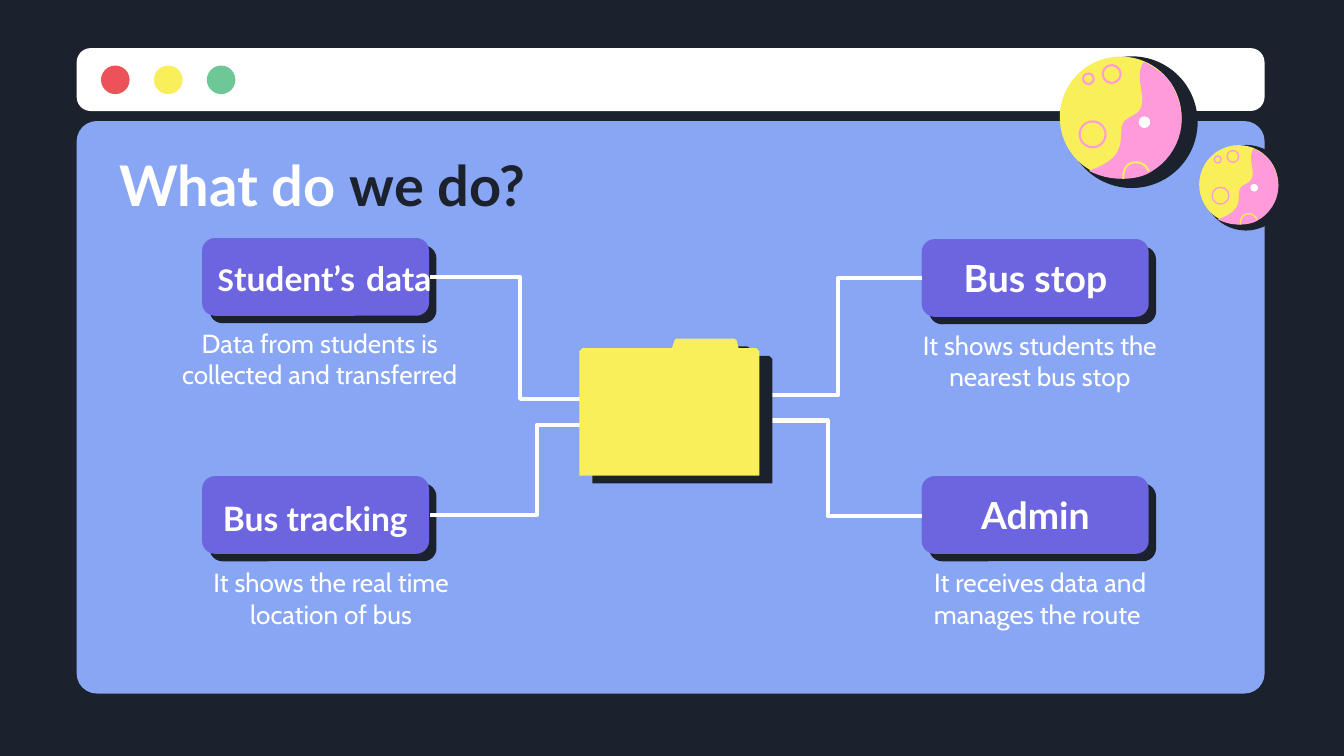
"""Build the "What do we do?" slide: four service cards linked to a central folder."""
from lxml import etree
from pptx import Presentation
from pptx.dml.color import RGBColor
from pptx.enum.shapes import MSO_CONNECTOR, MSO_SHAPE
from pptx.enum.text import MSO_ANCHOR, MSO_AUTO_SIZE, PP_ALIGN
from pptx.oxml.ns import qn
from pptx.util import Cm, Pt

ROUNDED, OVAL = MSO_SHAPE.ROUNDED_RECTANGLE, MSO_SHAPE.OVAL
ELBOW = MSO_CONNECTOR.ELBOW
MIDDLE, TOP = MSO_ANCHOR.MIDDLE, MSO_ANCHOR.TOP
LEFT, CENTER = PP_ALIGN.LEFT, PP_ALIGN.CENTER
NO_AUTOFIT = MSO_AUTO_SIZE.NONE

NAVY = RGBColor(0x1B, 0x22, 0x2D)
BLUE = RGBColor(0x88, 0xA6, 0xF3)
PURPLE = RGBColor(0x6D, 0x65, 0xE0)
WHITE = RGBColor(0xFF, 0xFF, 0xFF)
RED = RGBColor(0xEB, 0x53, 0x58)
YELLOW = RGBColor(0xF8, 0xEF, 0x5B)
GREEN = RGBColor(0x6D, 0xC7, 0x97)
PINK = RGBColor(0xFF, 0x9B, 0xDA)

prs = Presentation()
prs.slide_width, prs.slide_height = Cm(25.4), Cm(14.29)
slide = prs.slides.add_slide(prs.slide_layouts[5])
slide.background.fill.solid()
slide.background.fill.fore_color.rgb = NAVY


def paint(shape, fill=None, line=None, weight=1):
    shape.shadow.inherit = False
    if fill is None:
        shape.fill.background()
    else:
        shape.fill.solid()
        shape.fill.fore_color.rgb = fill
    if line is None:
        shape.line.fill.background()
    else:
        shape.line.color.rgb = line
        shape.line.width = Pt(weight)
    return shape


def add_outline(start, curves, left=0, top=0, scale=1, close=True):
    points = [start]
    for x1, y1, x2, y2, x3, y3 in curves:
        x0, y0 = points[-1]
        for step in range(1, 13):
            t = step / 12
            weights = (1 - t) ** 3, 3 * t * (1 - t) ** 2, 3 * t * t * (1 - t), t ** 3
            points.append((sum(w * x for w, x in zip(weights, (x0, x1, x2, x3))),
                           sum(w * y for w, y in zip(weights, (y0, y1, y2, y3)))))
    placed = [(Cm(left + scale * x), Cm(top + scale * y)) for x, y in points]
    builder = slide.shapes.build_freeform(*placed[0], scale=1.0)
    builder.add_line_segments(placed[1:], close=close)
    return builder.convert_to_shape()


for top, height, radius, color in [(2.29, 10.82, 0.035, BLUE), (0.91, 1.19, 0.223, WHITE)]:
    window_part = slide.shapes.add_shape(ROUNDED, Cm(1.45), Cm(top), Cm(22.45), Cm(height))
    window_part.adjustments[0] = radius
    paint(window_part, color)

for index, color in enumerate([RED, YELLOW, GREEN]):
    paint(slide.shapes.add_shape(OVAL, Cm(1.91 + index), Cm(1.24), Cm(0.54), Cm(0.54)), color)

MOON_DISCS = [
    (0.21, 0.09, 2.49, NAVY, None),
    (0, 0, 2.3, YELLOW, None),
    (-0.53, 0.32, 0.49, None, PINK),
    (-0.17, -0.82, 0.34, None, PINK),
    (-0.61, -0.73, 0.2, None, PINK),
    (0.45, 0.09, 0.22, WHITE, None),
]
PINK_SIDE = [
    (0.64, -0.95, 0.82, -0.82, 0.95, -0.65),
    (1.02, -0.52, 1.1, -0.34, 1.13, -0.19),
    (1.23, 0.29, 1, 0.78, 0.57, 1.03),
    (0.41, 1.13, 0.21, 1.16, 0.03, 1.16),
    (-0.2, 1.16, -0.4, 1.11, -0.6, 1.01),
    (-0.12, 0.83, 0.01, 0.68, 0.01, 0.27),
    (0.01, -0.16, 0.52, 0.12, 0.39, -0.52),
    (0.34, -0.8, 0.36, -0.95, 0.44, -1.05),
]
CRATER_RIM = [(0.02, 0.77, 0.45, 0.77, 0.53, 1.02)]

for center_x, center_y, scale in [(21.18, 2.22, 1), (23.41, 3.49, 0.65)]:
    for dx, dy, diameter, fill, line in MOON_DISCS:
        if fill == WHITE:
            paint(add_outline((0.44, -1.05), PINK_SIDE, center_x, center_y, scale), PINK)
            rim = add_outline((0.05, 1.16), CRATER_RIM, center_x, center_y, scale, close=False)
            paint(rim, None, YELLOW, 1.1 * scale)
        size = Cm(diameter * scale)
        disc = slide.shapes.add_shape(OVAL, Cm(center_x + scale * (dx - diameter / 2)),
                                      Cm(center_y + scale * (dy - diameter / 2)), size, size)
        paint(disc, fill, line, 1.1 * scale)

title = slide.shapes.title
slide.shapes.element.append(title.element)
title.left, title.top, title.width, title.height = Cm(2.01), Cm(2.69), Cm(21.41), Cm(1.57)
texts = [(title, [("What do ", 30, WHITE), ("we do?", 30, NAVY)], "Lato", LEFT, MIDDLE)]

CARDS = [
    (17.42, 9, [("Admin", 20, WHITE)], (17.68, 9, 3.78, 1.47),
     "It receives data and manages the route ", (17.22, 10.46, 4.88, 1.96)),
    (3.82, 9, [("Bus tracking", 18, WHITE)], (3.57, 9.06, 4.78, 1.47),
     "It shows the real time location of bus", (3.48, 10.46, 5.56, 2.11)),
    (3.82, 4.5, [("S", 16, WHITE), ("tudent’s", 18, WHITE), (" ", 24, WHITE), ("data", 18, WHITE)],
     (3.48, 4.8, 5.31, 0.76),
     "Data from students is collected and transferred", (3.02, 5.94, 6.05, 1.88)),
    (17.42, 4.52, [("Bus stop", 20, WHITE)], (17.68, 4.52, 3.78, 1.47),
     "It shows students the nearest bus stop", (17.04, 5.97, 5.23, 2.03)),
]
for left, top, label, label_box, caption, caption_box in CARDS:
    for offset, color in [(0.14, NAVY), (0, PURPLE)]:
        paint(slide.shapes.add_shape(ROUNDED, Cm(left + offset), Cm(top + offset),
                                     Cm(4.29), Cm(1.47)), color)
    for box, runs, font, anchor in [(label_box, label, "Lato", MIDDLE),
                                    (caption_box, [(caption, 14, WHITE)], "Cabin", TOP)]:
        holder = slide.shapes.add_textbox(*map(Cm, box))
        texts.append((holder, runs, font, CENTER, anchor))

for holder, runs, font, alignment, anchor in texts:
    frame = holder.text_frame
    frame.word_wrap = True
    frame.auto_size = NO_AUTOFIT
    frame.vertical_anchor = anchor
    frame.margin_left = frame.margin_right = frame.margin_top = frame.margin_bottom = Cm(0.25)
    paragraph = frame.paragraphs[0]
    paragraph.alignment = alignment
    paragraph.font.name = font
    paragraph.font.bold = font == "Lato"
    for words, size, color in runs:
        run = paragraph.add_run()
        run.text = words
        run.font.size = Pt(size)
        run.font.color.rgb = color

for ends in [(8.13, 5.24, 11.53, 7.54), (8.13, 9.73, 12.17, 8.03),
             (17.42, 5.25, 14.27, 7.47), (17.42, 9.75, 13.87, 7.95)]:
    link = slide.shapes.add_connector(ELBOW, *map(Cm, ends))
    link.line.color.rgb = WHITE
    link.line.width = Pt(2.25)
    etree.SubElement(link.element.spPr, qn("a:effectLst"))

FOLDER_EDGE = [(14.35, 8.99), (10.95, 8.99), (10.95, 6.64), (11.01, 6.58), (12.7, 6.58),
               (12.75, 6.43), (12.78, 6.4), (13.87, 6.4), (13.92, 6.43), (13.96, 6.58),
               (14.29, 6.58), (14.35, 6.64)]
folder_edge = [(Cm(x), Cm(y)) for x, y in FOLDER_EDGE]
folder_builder = slide.shapes.build_freeform(*folder_edge[0], scale=1.0)
folder_builder.add_line_segments(folder_edge[1:])
folder = paint(folder_builder.convert_to_shape(), YELLOW)
effects = folder.element.spPr.find(qn("a:effectLst"))
drop = etree.SubElement(effects, qn("a:outerShdw"), blurRad="0", dist=str(Pt(8.2)),
                        dir=str(31 * 60000), algn="bl", rotWithShape="0")
etree.SubElement(drop, qn("a:srgbClr"), val=str(NAVY))

prs.save("out.pptx")
